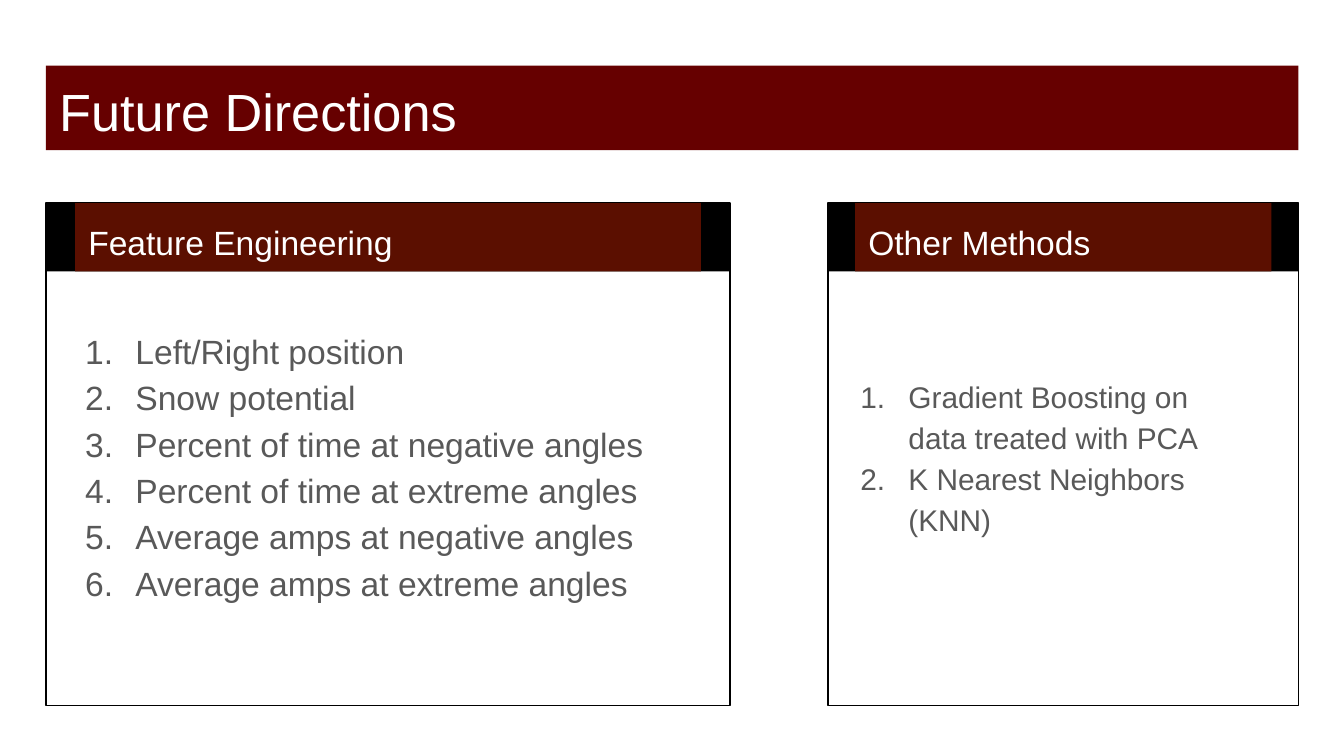
from dataclasses import dataclass

from lxml.etree import SubElement
from pptx import Presentation
from pptx.dml.color import RGBColor as RGB
from pptx.enum.shapes import MSO_SHAPE as Shape
from pptx.enum.text import MSO_ANCHOR as Anchor, PP_ALIGN as Align
from pptx.oxml.ns import qn
from pptx.util import Cm, Pt


@dataclass(frozen=True)
class Theme:
    font: str = "Arial"
    banner: RGB = RGB(0x66, 0x00, 0x00)
    heading: RGB = RGB(0x5B, 0x0F, 0x00)
    frame: RGB = RGB(0x00, 0x00, 0x00)
    light: RGB = RGB(0xFF, 0xFF, 0xFF)
    body: RGB = RGB(0x59, 0x59, 0x59)
    title_size: int = 28
    heading_size: int = 18
    frame_width: float = 0.75
    line_spacing: float = 1.15


THEME = Theme()
INSET = 0.25
PANEL_TOP, PANEL_HEIGHT, HEADER_HEIGHT = 3.84, 9.5, 1.29


def add_block(slide, left, top, width, height, fill=None, outline=None):
    block = slide.shapes.add_shape(
        Shape.RECTANGLE, Cm(left), Cm(top), Cm(width), Cm(height))
    block.shadow.inherit = False
    if fill is None:
        block.fill.background()
    else:
        block.fill.solid()
        block.fill.fore_color.rgb = fill
    if outline is None:
        block.line.fill.background()
    else:
        block.line.color.rgb = outline
        block.line.width = Pt(THEME.frame_width)
    return block


def prepare_frame(shape):
    frame = shape.text_frame
    frame.word_wrap = True
    frame.vertical_anchor = Anchor.TOP
    frame.margin_left = frame.margin_right = Cm(INSET)
    frame.margin_top = frame.margin_bottom = Cm(INSET)
    return frame


def write(paragraph, text, size, color, spacing=None):
    paragraph.alignment = Align.LEFT
    paragraph.line_spacing = spacing
    run = paragraph.add_run()
    run.text = text
    run.font.name = THEME.font
    run.font.size = Pt(size)
    run.font.color.rgb = color


def number(paragraph, hanging):
    """Turn the paragraph into an automatically numbered list item."""
    properties = paragraph._p.get_or_add_pPr()
    properties.set("marL", str(Cm(1.27)))
    properties.set("indent", str(-Cm(hanging)))
    color = SubElement(properties, qn("a:buClr"))
    SubElement(color, qn("a:srgbClr"), val=str(THEME.body))
    SubElement(properties, qn("a:buFont"), typeface=THEME.font)
    SubElement(properties, qn("a:buAutoNum"), type="arabicPeriod")


def add_title(slide, text):
    banner = add_block(slide, 0.87, 1.24, 23.67, 1.6, THEME.banner)
    write(prepare_frame(banner).paragraphs[0], text,
          THEME.title_size, THEME.light)


def add_panel(slide, heading, left, width, side):
    """Draw a framed panel whose heading leaves a black strip on each side."""
    add_block(slide, left, PANEL_TOP, width, HEADER_HEIGHT, THEME.frame)
    add_block(slide, left, PANEL_TOP, width, PANEL_HEIGHT,
              outline=THEME.frame)
    header = add_block(slide, left + side, PANEL_TOP, width - 2 * side,
                       HEADER_HEIGHT, THEME.heading)
    write(prepare_frame(header).paragraphs[0], heading,
          THEME.heading_size, THEME.light, THEME.line_spacing)


def add_numbered_list(slide, items, box, size, hanging):
    frame = prepare_frame(slide.shapes.add_textbox(*map(Cm, box)))
    for index, item in enumerate(items):
        entry = frame.add_paragraph() if index else frame.paragraphs[0]
        number(entry, hanging)
        write(entry, item, size, THEME.body, THEME.line_spacing)


def main():
    deck = Presentation()
    deck.slide_width, deck.slide_height = Cm(25.4), Cm(14.29)
    slide = deck.slides.add_slide(deck.slide_layouts[6])

    add_title(slide, "Future Directions")

    add_panel(slide, "Feature Engineering", left=0.87, width=12.93, side=0.55)
    add_numbered_list(slide, [
        "Left/Right position",
        "Snow potential",
        "Percent of time at negative angles",
        "Percent of time at extreme angles",
        "Average amps at negative angles",
        "Average amps at extreme angles",
    ], box=(1.04, 5.89, 12.55, 6.68), size=18, hanging=0.95)

    add_panel(slide, "Other Methods", left=15.65, width=8.89, side=0.51)
    add_numbered_list(slide, [
        "Gradient Boosting on data treated with PCA",
        "K Nearest Neighbors (KNN)",
    ], box=(15.65, 6.8, 8.15, 3.61), size=16, hanging=0.91)

    deck.save("out.pptx")


if __name__ == "__main__":
    main()
